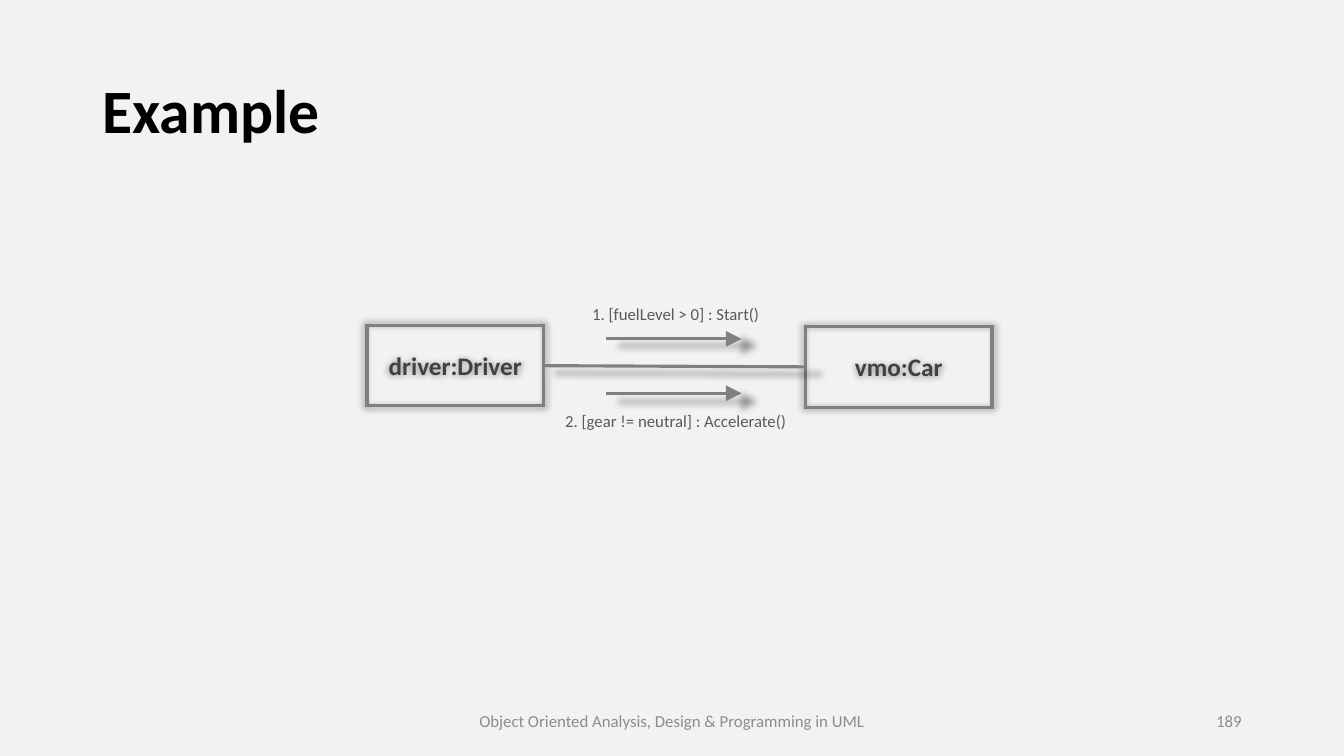
from lxml import etree
from pptx import Presentation
from pptx.dml.color import RGBColor
from pptx.enum.shapes import MSO_CONNECTOR as CONNECTOR, MSO_SHAPE as SHAPE
from pptx.enum.text import MSO_ANCHOR as ANCHOR, PP_ALIGN as ALIGN
from pptx.oxml.ns import qn
from pptx.util import Cm, Pt

FONT = "Calibri"
GRAY = "808080"
FOOTER_GRAY = "8C8C8C"
RIGHT, LEFT = 3, 1  # connection sites of a rectangle


def color(hex_code):
    return RGBColor.from_string(hex_code)


def format_font(font, size, hex_code, bold=False):
    font.name = FONT
    font.size = Pt(size)
    font.bold = bold
    font.color.rgb = color(hex_code)


def add_glow_shadow(shape):
    """Put a soft shadow, slightly larger than the shape, behind it."""
    effects = etree.SubElement(shape._element.spPr, qn("a:effectLst"))
    shadow = etree.SubElement(effects, qn("a:outerShdw"), blurRad="63500",
                              sx="102000", sy="102000", algn="ctr", rotWithShape="0")
    black = etree.SubElement(shadow, qn("a:prstClr"), val="black")
    etree.SubElement(black, qn("a:alpha"), val="40000")


def format_line(line):
    line.color.rgb = color(GRAY)
    line.width = Pt(2.25)
    etree.SubElement(line._get_or_add_ln(), qn("a:miter"), lim="800000")


def add_text(slide, box, text, size, hex_code, align, anchor=ANCHOR.MIDDLE):
    shape = slide.shapes.add_textbox(*(Cm(length) for length in box))
    frame = shape.text_frame
    frame.word_wrap = True
    frame.vertical_anchor = anchor
    frame.text = text
    paragraph = frame.paragraphs[0]
    paragraph.alignment = align
    format_font(paragraph.runs[0].font, size, hex_code)


def add_title(slide, box, text):
    title = slide.shapes.title
    title.left, title.top, title.width, title.height = (Cm(length) for length in box)
    title.text_frame.text = text
    title.text_frame.vertical_anchor = ANCHOR.MIDDLE
    paragraph = title.text_frame.paragraphs[0]
    paragraph.alignment = ALIGN.LEFT
    paragraph.line_spacing = 0.9
    format_font(paragraph.runs[0].font, 44, "000000", bold=True)


def add_object(slide, box, text):
    shape = slide.shapes.add_shape(SHAPE.RECTANGLE, *(Cm(length) for length in box))
    shape.fill.background()
    format_line(shape.line)
    add_glow_shadow(shape)
    frame = shape.text_frame
    frame.text = text
    frame.vertical_anchor = ANCHOR.MIDDLE
    paragraph = frame.paragraphs[0]
    paragraph.alignment = ALIGN.CENTER
    format_font(paragraph.runs[0].font, 18, "404040", bold=True)
    return shape


def add_line(slide, start_x, start_y, end_x, end_y):
    line = slide.shapes.add_connector(CONNECTOR.STRAIGHT, start_x, start_y, end_x, end_y)
    format_line(line.line)
    add_glow_shadow(line)
    return line


def add_message(slide, left, arrow_y, label_y, text):
    """Draw an arrow from left at arrow_y, with its label centred on it at label_y."""
    arrow_width, label_width = 3.42, 7
    arrow = add_line(slide, Cm(left), Cm(arrow_y), Cm(left + arrow_width), Cm(arrow_y))
    etree.SubElement(arrow.line._get_or_add_ln(), qn("a:tailEnd"),
                     type="triangle", w="lg", len="lg")
    label_left = left + (arrow_width - label_width) / 2 + 0.05
    add_text(slide, (label_left, label_y, label_width, 0.77), text, 12, "595959",
             ALIGN.CENTER, ANCHOR.TOP)


def add_collaboration(slide, left, top):
    driver = add_object(slide, (left, top, 4.45, 2.03), "driver:Driver")
    car = add_object(slide, (left + 11.05, top + 0.03, 4.7, 2.03), "vmo:Car")
    link = add_line(slide, 0, 0, 0, 0)
    link.begin_connect(driver, RIGHT)
    link.end_connect(car, LEFT)
    add_message(slide, left + 6.02, top + 0.34, top - 0.66, "1. [fuelLevel > 0] : Start()")
    add_message(slide, left + 6.02, top + 1.71, top + 2.03,
                "2. [gear != neutral] : Accelerate()")


def add_footer(slide, top):
    height = 1.01
    add_text(slide, (11.22, top, 11.43, height),
             "Object Oriented Analysis, Design & Programming in UML",
             12, FOOTER_GRAY, ALIGN.CENTER)
    add_text(slide, (23.92, top, 7.62, height), "189", 12, FOOTER_GRAY, ALIGN.RIGHT)


def main():
    presentation = Presentation()
    presentation.slide_width, presentation.slide_height = Cm(33.87), Cm(19.05)
    slide = presentation.slides.add_slide(presentation.slide_layouts[5])
    slide.background.fill.solid()
    slide.background.fill.fore_color.rgb = color("F2F2F2")
    add_title(slide, (2.33, 1.01, 29.21, 3.68), "Example")
    add_collaboration(slide, 9.25, 8.2)
    add_footer(slide, 17.65)
    presentation.save("out.pptx")


if __name__ == "__main__":
    main()
